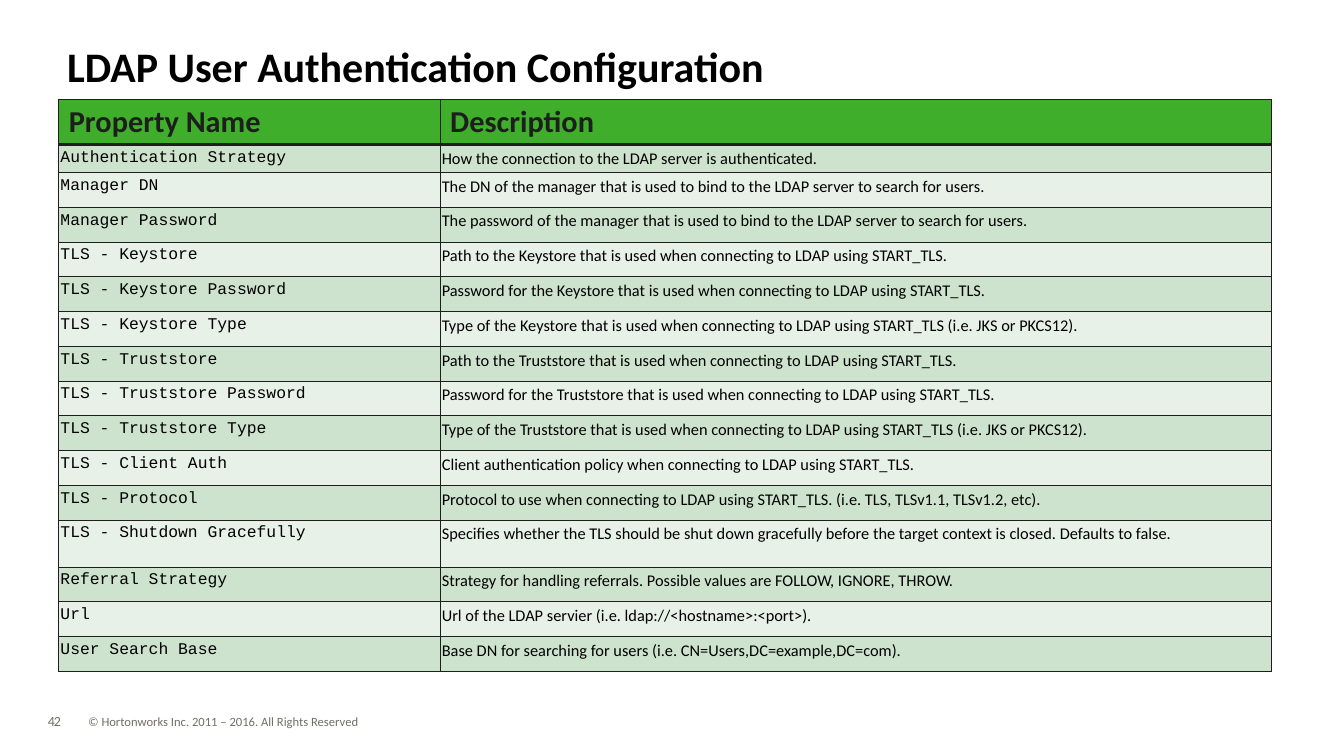
from pptx import Presentation, util as u
from pptx.dml.color import RGBColor
from pptx.enum import text
from pptx.oxml import parse_xml
from pptx.oxml.ns import nsdecls

WIDTH, HEIGHT = 16, 9
INK, BLACK, GREY = "1E1E1E", "000000", "726F66"
GREEN, BANDS = "3FAE2A", ("CEE3CD", "E8F1E7")
SANS, MONO = "Calibri", "Courier New"

HEADINGS = ("Property Name", "Description")
COLUMNS = (4.54, 9.9)
HEADER_HEIGHT, FIRST_HEIGHT, ROW_HEIGHT, TALL_HEIGHT = 0.54, 0.33, 0.414, 0.56
TALL_PROPERTY = "TLS - Shutdown Gracefully"
USED = "that is used when connecting to LDAP using START_TLS"
BIND = "of the manager that is used to bind to the LDAP server to search for users."
PROPERTIES = (
    ("Authentication Strategy", "How the connection to the LDAP server is authenticated."),
    ("Manager DN", f"The DN {BIND}"),
    ("Manager Password", f"The password {BIND}"),
    *((f"TLS - {store}{suffix}", f"{lead} the {store} {USED}{end}")
      for store in ("Keystore", "Truststore")
      for suffix, lead, end in (("", "Path to", "."),
                                (" Password", "Password for", "."),
                                (" Type", "Type of", " (i.e. JKS or PKCS12)."))),
    ("TLS - Client Auth",
     "Client authentication policy when connecting to LDAP using START_TLS."),
    ("TLS - Protocol",
     "Protocol to use when connecting to LDAP using START_TLS. "
     "(i.e. TLS, TLSv1.1, TLSv1.2, etc)."),
    (TALL_PROPERTY,
     "Specifies whether the TLS should be shut down gracefully before the target "
     "context is closed. Defaults to false."),
    ("Referral Strategy",
     "Strategy for handling referrals. Possible values are FOLLOW, IGNORE, THROW."),
    ("Url", "Url of the LDAP servier (i.e. ldap://<hostname>:<port>)."),
    ("User Search Base",
     "Base DN for searching for users (i.e. CN=Users,DC=example,DC=com)."),
)


def color(value):
    return RGBColor.from_string(value)


def write(frame, words, size, font=SANS, ink=BLACK, bold=False, spacing=None):
    para = frame.paragraphs[0]
    para.alignment = text.PP_ALIGN.LEFT
    if spacing:
        para.line_spacing = spacing
    span = para.add_run()
    span.text = words
    span.font.size, span.font.name, span.font.bold = u.Pt(size), font, bold
    span.font.color.rgb = color(ink)
    return span


def clear_margins(frame):
    frame.margin_left = frame.margin_right = frame.margin_top = frame.margin_bottom = 0


def add_title(page, words):
    box = page.shapes.title
    box.left, box.top = u.Inches(WIDTH * 0.05), u.Inches(0.57)
    box.width, box.height = u.Inches(WIDTH * 0.9), u.Inches(0.53)
    frame = box.text_frame
    clear_margins(frame)
    frame.word_wrap = True
    frame.auto_size = text.MSO_AUTO_SIZE.NONE
    frame.vertical_anchor = text.MSO_ANCHOR.MIDDLE
    write(frame, words, 36, bold=True, spacing=0.85)


def add_footer(page, words, left, width, **style):
    box = page.shapes.add_textbox(u.Inches(left), u.Inches(8.5),
                                  u.Inches(width), u.Inches(0.18))
    clear_margins(box.text_frame)
    box.text_frame.word_wrap = False
    return write(box.text_frame, words, ink=GREY, **style)


def set_borders(cell, top=0.96, bottom=0.96):
    # Border elements come before the fill in the cell properties
    props = cell._tc.get_or_add_tcPr()
    widths = {"lnL": 0.96, "lnR": 0.96, "lnT": top, "lnB": bottom}
    for index, (side, width) in enumerate(widths.items()):
        props.insert(index, parse_xml(
            f'<a:{side} {nsdecls("a")} w="{u.Pt(width)}"><a:solidFill>'
            f'<a:srgbClr val="{INK}"/></a:solidFill></a:{side}>'))


def fill_cell(cell, words, fill, inset, top=0.96, bottom=0.96, **style):
    cell.margin_left = cell.margin_right = u.Inches(inset)
    cell.margin_top = cell.margin_bottom = u.Inches(0.05)
    cell.fill.solid()
    cell.fill.fore_color.rgb = color(fill)
    set_borders(cell, top, bottom)
    write(cell.text_frame, words, **style)


def row_height(index, name):
    if index == 0:
        return FIRST_HEIGHT
    return TALL_HEIGHT if name == TALL_PROPERTY else ROW_HEIGHT


def add_property_table(page):
    heights = [HEADER_HEIGHT] + [row_height(i, row[0]) for i, row in enumerate(PROPERTIES)]
    table = page.shapes.add_table(
        len(heights), len(COLUMNS), u.Inches(0.7), u.Inches(1.18),
        u.Inches(sum(COLUMNS)), u.Inches(sum(heights))).table
    for column, width in zip(table.columns, COLUMNS):
        column.width = u.Inches(width)
    for row, height in zip(table.rows, heights):
        row.height = u.Inches(height)

    # Header row
    for column, heading in enumerate(HEADINGS):
        fill_cell(table.cell(0, column), heading, GREEN, 0.12, bottom=3,
                  size=26, ink=INK, bold=True)

    # Banded property rows
    for index, row in enumerate(PROPERTIES):
        for column, (words, font) in enumerate(zip(row, (MONO, SANS))):
            fill_cell(table.cell(index + 1, column), words, BANDS[index % 2], 0.02,
                      top=3 if index == 0 else 0.96, size=14, font=font)


def main():
    deck = Presentation()
    deck.slide_width, deck.slide_height = u.Inches(WIDTH), u.Inches(HEIGHT)
    page = deck.slides.add_slide(deck.slide_layouts[5])

    # Footer
    number = add_footer(page, "42", 0.57, 0.84, size=12, spacing=0.9)
    number.font._element.set("spc", "-80")
    add_footer(page, "© Hortonworks Inc. 2011 – 2016. All Rights Reserved", 1.05, 4,
               size=10.8)

    # Title and table
    add_title(page, "LDAP User Authentication Configuration")
    add_property_table(page)
    deck.save("out.pptx")


if __name__ == "__main__":
    main()
